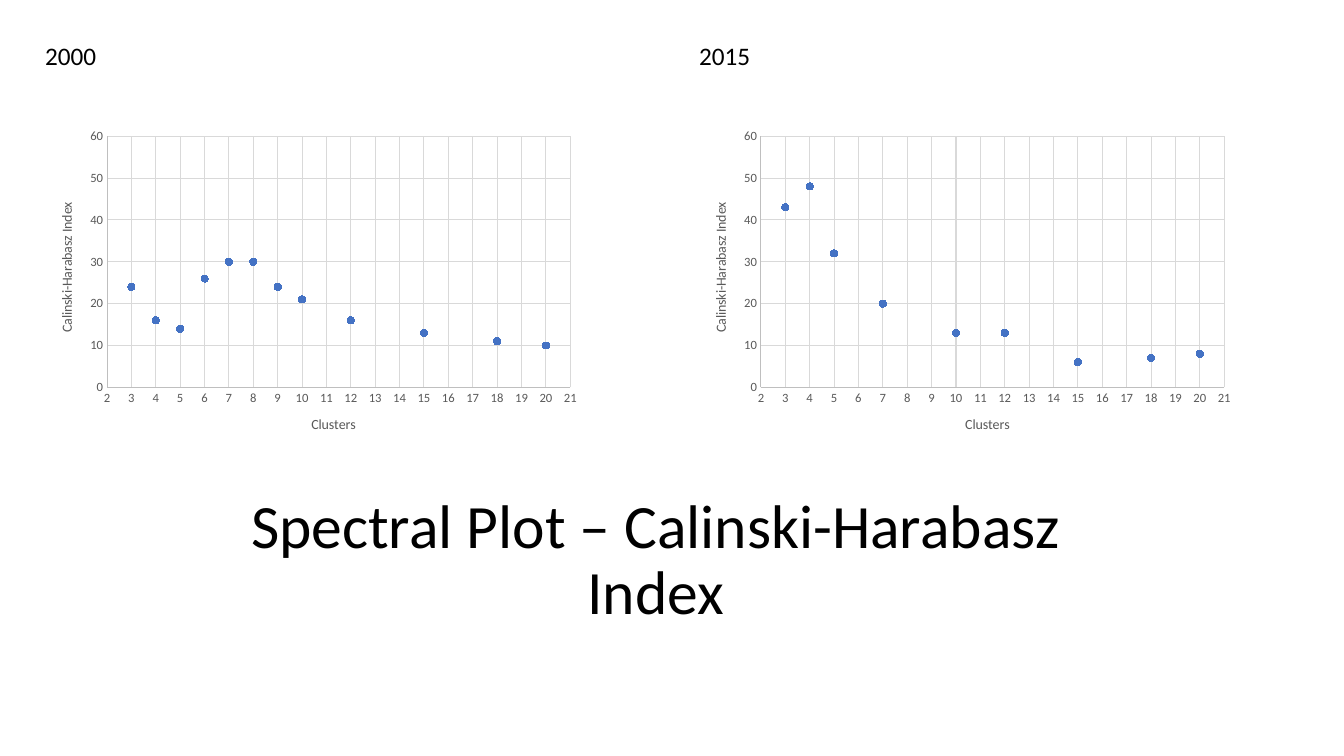
"""Build a slide that compares two Calinski-Harabasz scatter charts."""
from dataclasses import dataclass

from lxml.etree import SubElement
from pptx import Presentation
from pptx.chart.data import XyChartData
from pptx.dml.color import RGBColor as Rgb
from pptx.enum.chart import XL_CHART_TYPE as Kind
from pptx.enum.chart import XL_MARKER_STYLE as Mark
from pptx.enum.chart import XL_TICK_LABEL_POSITION as Spot
from pptx.enum.chart import XL_TICK_MARK as Tick
from pptx.enum.text import MSO_ANCHOR as Anchor
from pptx.enum.text import PP_ALIGN as Align
from pptx.oxml.ns import qn
from pptx.util import Cm, Pt

FONT = "Calibri"
HEX = {"text": "000000", "label": "595959", "axis": "BFBFBF",
       "grid": "D9D9D9", "dot": "4472C4"}
PLOT = {"x": 0.13, "y": 0.04, "w": 0.84, "h": 0.76}


@dataclass
class Panel:
    year: str
    left: float
    data: dict[int, int]


@dataclass
class Scale:
    title: str
    low: int
    high: int
    step: int


PANELS = [
    Panel("2000", 0.89, {3: 24, 4: 16, 5: 14, 6: 26, 7: 30, 8: 30, 9: 24,
                         10: 21, 12: 16, 15: 13, 18: 11, 20: 10}),
    Panel("2015", 17.37, {3: 43, 4: 48, 5: 32, 7: 20, 10: 13, 12: 13,
                          15: 6, 18: 7, 20: 8}),
]
ACROSS = Scale("Clusters", 2, 21, 1)
UP = Scale("Calinski-Harabasz Index", 0, 60, 10)


def style(font, size: float, color: str, bold: bool = False) -> None:
    font.name, font.size, font.bold = FONT, Pt(size), bold
    font.color.rgb = Rgb.from_string(HEX[color])


def write(slide, text: str, left: float, top: float, width: float,
          height: float, *, size: float = 18, align=Align.LEFT,
          anchor=Anchor.TOP, space: float = 1.0) -> None:
    box = slide.shapes.add_textbox(Cm(left), Cm(top), Cm(width), Cm(height))
    frame = box.text_frame
    frame.word_wrap, frame.vertical_anchor = True, anchor
    para = frame.paragraphs[0]
    para.alignment, para.line_spacing = align, space
    run = para.add_run()
    run.text = text
    style(run.font, size, "text")


def rule(line, color: str) -> None:
    line.width = Pt(0.75)
    line.color.rgb = Rgb.from_string(HEX[color])


def set_axis(axis, scale: Scale) -> None:
    axis.minimum_scale, axis.maximum_scale = scale.low, scale.high
    axis.major_unit = scale.step
    axis.major_tick_mark = axis.minor_tick_mark = Tick.NONE
    axis.tick_label_position = Spot.NEXT_TO_AXIS
    axis.has_major_gridlines = True
    rule(axis.major_gridlines.format.line, "grid")
    rule(axis.format.line, "axis")
    style(axis.tick_labels.font, 9, "label")
    labels = axis.tick_labels
    labels.number_format, labels.number_format_is_linked = "0", False
    run = axis.axis_title.text_frame.paragraphs[0].add_run()
    run.text = scale.title
    style(run.font, 10, "label")


def place(chart) -> None:
    area = chart.element.find(".//" + qn("c:plotArea"))
    old = area.find(qn("c:layout"))
    if old is not None:
        area.remove(old)
    outer = SubElement(area, qn("c:layout"))
    area.insert(0, outer)
    inner = SubElement(outer, qn("c:manualLayout"))
    parts = {"layoutTarget": "inner", "xMode": "edge", "yMode": "edge", **PLOT}
    for name, value in parts.items():
        SubElement(inner, qn(f"c:{name}")).set("val", str(value))


def plot(slide, panel: Panel) -> None:
    data = XyChartData()
    dots = data.add_series("Series 1")
    for count, score in panel.data.items():
        dots.add_data_point(count, score)
    chart = slide.shapes.add_chart(
        Kind.XY_SCATTER, Cm(panel.left), Cm(3.1), Cm(13.9), Cm(8.33), data).chart
    chart.has_legend = chart.has_title = False
    style(chart.font, 10, "text")
    chart.plots[0].vary_by_categories = False
    set_axis(chart.category_axis, ACROSS)
    set_axis(chart.value_axis, UP)
    place(chart)
    row = chart.plots[0].series[0]
    row.smooth = False
    row.format.line.fill.background()
    row.marker.style, row.marker.size = Mark.CIRCLE, 5
    color = Rgb.from_string(HEX["dot"])
    row.marker.format.fill.solid()
    row.marker.format.fill.fore_color.rgb = color
    row.marker.format.line.color.rgb = color


def main() -> None:
    deck = Presentation()
    deck.slide_width, deck.slide_height = Cm(33.87), Cm(19.05)
    slide = deck.slides.add_slide(deck.slide_layouts[6])
    write(slide, "Spectral Plot – Calinski-Harabasz Index", 4.28, 12.9, 24.5,
          3.05, size=44, align=Align.CENTER, anchor=Anchor.BOTTOM, space=0.9)
    for panel in PANELS:
        write(slide, panel.year, panel.left, 0.89, 5.38, 1.02)
        plot(slide, panel)
    deck.save("out.pptx")


if __name__ == "__main__":
    main()
